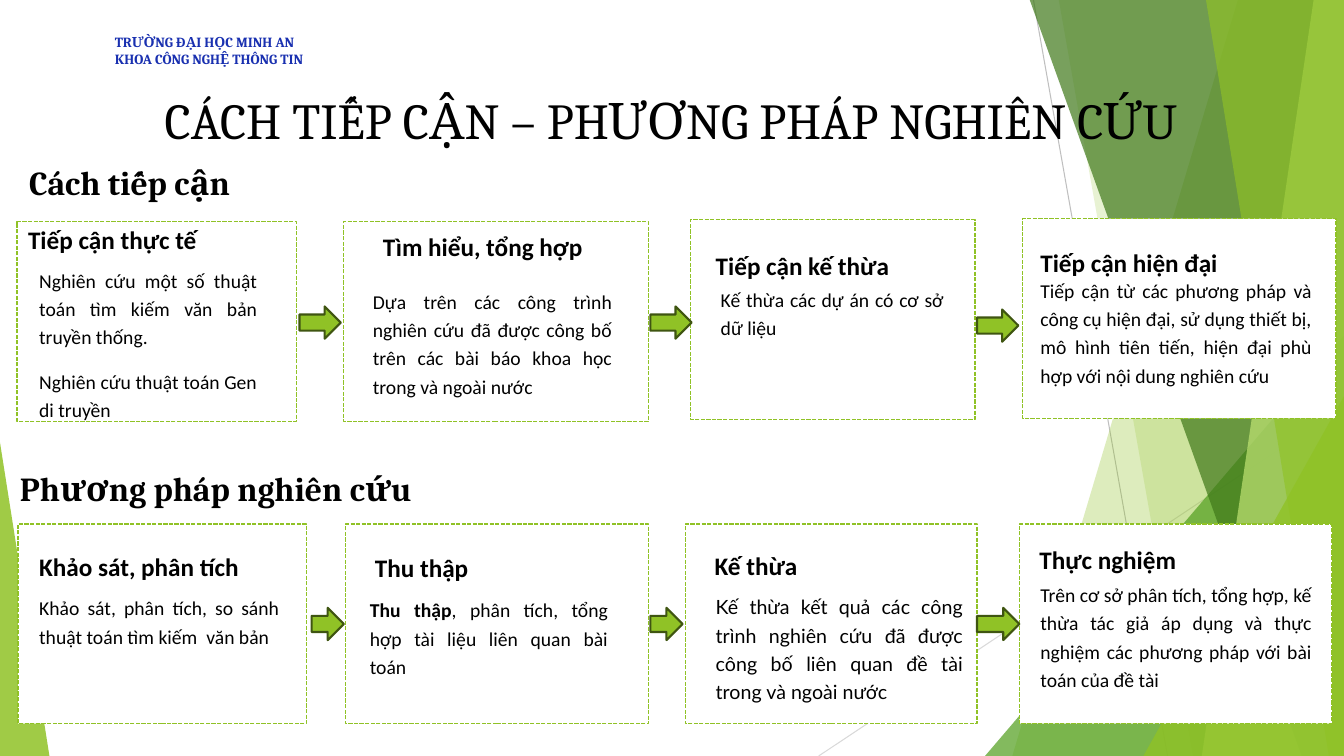
from dataclasses import dataclass

import pptx
import pptx.dml.color
import pptx.enum.dml
import pptx.enum.shapes
import pptx.enum.text
import pptx.oxml
import pptx.util
from pptx.util import Inches

GREEN = "90C226"
DARK_GREEN = "3F5511"
BLACK = "000000"
WHITE = "FFFFFF"
BLUE = "1930B0"
BOX_HEIGHT = 1.98
ARROW_HEIGHT = 0.32

Area = tuple[float, float, float, float]


@dataclass
class Style:
    size: float
    font: str = "Calibri"
    color: str = BLACK
    bold: bool = False
    align: str = "LEFT"
    line_spacing: float = 1.0
    gap: float = 0
    wrap: bool = True


@dataclass
class Step:
    box: tuple[float, float, float]
    heading: str
    heading_area: Area
    body: list[str]
    body_area: Area
    lead: str = ""
    font: str = "Calibri"
    gap: float = 0


@dataclass
class Facet:
    points: list[tuple[float, float]]
    color: str
    opacity: int


@dataclass
class Wedge:
    area: Area
    apex: float
    color: str
    opacity: int


@dataclass
class Ray:
    start: tuple[float, float]
    end: tuple[float, float]
    color: str


RAYS = [Ray((10.25, 0), (11.58, 7.5), "BFBFBF"), Ray((13.33, 4.03), (8.12, 7.5), "D9D9D9")]


def facet(top: float, bottom: float, color: str, opacity: int) -> Facet:
    return Facet([(top, -0.01), (13.33, -0.01), (13.33, 7.5), (bottom, 7.5)], color, opacity)


PANES = [
    facet(12.28, 10.04, GREEN, 30),
    facet(10.5, 11.83, GREEN, 20),
    Wedge((9.77, 3.33, 3.56, 4.17), 1, "54A021", 72),
    facet(10.21, 12.91, "3F7819", 70),
    facet(13.03, 11.92, "C0E474", 70),
    facet(11.96, 13.18, GREEN, 65),
    Wedge((11.34, 3.93, 1.99, 3.57), 1, GREEN, 80),
    Wedge((0, 4.39, 0.49, 3.11), 0, GREEN, 85),
]

STEPS = [
    Step((0.17, 2.2, 2.77), "Tiếp cận thực tế", (0.18, 2.18, 1.96, 0.4),
         ["Nghiên cứu một số thuật toán tìm kiếm văn bản truyền thống.",
          "Nghiên cứu thuật toán Gen di truyền"], (0.29, 2.57, 2.36, 1.66), gap=6),
    Step((3.41, 2.2, 3.02), "Tìm hiểu, tổng hợp", (3.7, 2.25, 2.31, 0.4),
         ["Dựa trên các công trình nghiên cứu đã được công bố trên các bài báo khoa học "
          "trong và ngoài nước"], (3.6, 2.78, 2.57, 1.21)),
    Step((6.85, 2.18, 2.82), "Tiếp cận kế thừa", (7, 2.43, 2.02, 0.4),
         ["Kế thừa các dự án có cơ sở dữ liệu"], (7.05, 2.76, 2.41, 0.64)),
    Step((10.14, 2.17, 3.11), "Tiếp cận hiện đại", (10.22, 2.4, 2.08, 0.4),
         ["Tiếp cận từ các phương pháp và công cụ hiện đại, sử dụng thiết bị, mô hình "
          "tiên tiến, hiện đại phù hợp với nội dung nghiên cứu"], (10.22, 2.67, 2.89, 1.51)),
    Step((0.18, 5.2, 2.86), "Khảo sát, phân tích", (0.29, 5.42, 2.33, 0.4),
         ["Khảo sát, phân tích, so sánh thuật toán tìm kiếm  văn bản"], (0.29, 5.82, 2.58, 0.92)),
    Step((3.43, 5.2, 3), "Thu thập", (3.62, 5.43, 1.21, 0.4),
         [", phân tích, tổng hợp tài liệu liên quan bài toán"], (3.57, 5.84, 2.56, 0.64),
         lead="Thu thập"),
    Step((6.8, 5.2, 2.89), "Kế thừa", (6.99, 5.41, 1.06, 0.4),
         ["Kế thừa kết quả các công trình nghiên cứu đã được công bố liên quan đề tài "
          "trong và ngoài nước"], (7, 5.81, 2.65, 1.23), font="Lato"),
    Step((10.11, 5.2, 3.1), "Thực nghiệm", (10.21, 5.35, 1.66, 0.4),
         ["Trên cơ sở phân tích, tổng hợp, kế thừa tác giả áp dụng và thực nghiệm các "
          "phương pháp với bài toán của đề tài"], (10.22, 5.69, 2.89, 1.23)),
]

ARROWS = [(2.97, 3.04, 0.41), (6.45, 3.04, 0.41), (9.69, 3.07, 0.41),
          (3.09, 6.03, 0.32), (6.45, 6.03, 0.32), (9.69, 6.03, 0.42)]


def rgb(color: str) -> pptx.dml.color.RGBColor:
    return pptx.dml.color.RGBColor.from_string(color)


def inches(area: Area) -> list[pptx.util.Length]:
    return [Inches(value) for value in area]


def add_effect_free_line(slide, ray: Ray) -> None:
    connector = slide.shapes.add_connector(
        pptx.enum.shapes.MSO_CONNECTOR.STRAIGHT, *inches(ray.start + ray.end))
    connector.line.color.rgb = rgb(ray.color)
    connector.line.width = pptx.util.Pt(0.75)
    properties = connector.element.spPr
    properties.append(pptx.oxml.parse_xml(
        '<a:effectLst xmlns:a="http://schemas.openxmlformats.org/drawingml/2006/main"/>'))


def add_preset(slide, kind: str, area: Area, fill: str, line: str = "", width: float = 1):
    shape = slide.shapes.add_shape(
        getattr(pptx.enum.shapes.MSO_SHAPE, kind), *inches(area))
    paint(shape, fill)
    if line:
        shape.line.color.rgb = rgb(line)
        shape.line.width = pptx.util.Pt(width)
    return shape


def paint(shape, fill: str) -> None:
    shape.shadow.inherit = False
    shape.fill.solid()
    shape.fill.fore_color.rgb = rgb(fill)
    shape.line.fill.background()


def add_pane(slide, pane: Facet | Wedge) -> None:
    if isinstance(pane, Wedge):
        shape = add_preset(slide, "ISOSCELES_TRIANGLE", pane.area, pane.color)
        shape.adjustments[0] = pane.apex
    else:
        points = [tuple(inches(point)) for point in pane.points]
        builder = slide.shapes.build_freeform(*points[0])
        builder.add_line_segments(points[1:], close=True)
        shape = builder.convert_to_shape()
        paint(shape, pane.color)
    color = shape.element.spPr.find(".//" + pptx.oxml.ns.qn("a:srgbClr"))
    alpha = color.makeelement(pptx.oxml.ns.qn("a:alpha"), {"val": str(pane.opacity * 1000)})
    color.append(alpha)


def format_paragraph(paragraph, style: Style) -> None:
    paragraph.alignment = getattr(pptx.enum.text.PP_ALIGN, style.align)
    paragraph.line_spacing = style.line_spacing
    paragraph.space_before = paragraph.space_after = pptx.util.Pt(style.gap)
    paragraph.font.size = pptx.util.Pt(style.size)
    paragraph.font.name = style.font
    paragraph.font.bold = style.bold
    paragraph.font.color.rgb = rgb(style.color)


def add_text(slide, area: Area, lines: list[str], style: Style, lead: str = "") -> None:
    frame = slide.shapes.add_textbox(*inches(area)).text_frame
    frame.word_wrap = style.wrap
    frame.auto_size = pptx.enum.text.MSO_AUTO_SIZE.SHAPE_TO_FIT_TEXT
    for index, line in enumerate(lines):
        paragraph = frame.add_paragraph() if index else frame.paragraphs[0]
        if lead:
            run = paragraph.add_run()
            run.text = lead
            run.font.bold = True
        paragraph.add_run().text = line
        format_paragraph(paragraph, style)


def add_step(slide, step: Step) -> None:
    box = add_preset(slide, "RECTANGLE", (*step.box, BOX_HEIGHT), WHITE, GREEN)
    box.line.dash_style = pptx.enum.dml.MSO_LINE.SQUARE_DOT
    body_style = Style(14, step.font, align="JUSTIFY", line_spacing=1.2, gap=step.gap)
    add_text(slide, step.body_area, step.body, body_style, step.lead)
    add_text(slide, step.heading_area, [step.heading], Style(18, bold=True, wrap=False))


def place_title(slide, text: str) -> None:
    title = slide.shapes.title
    title.left, title.top, title.width, title.height = inches((0.74, 0.8, 11.83, 0.76))
    title.text_frame.text = text
    title.text_frame.vertical_anchor = pptx.enum.text.MSO_ANCHOR.MIDDLE
    format_paragraph(title.text_frame.paragraphs[0], Style(36, "Cambria", align="CENTER"))
    title.element.getparent().append(title.element)


def main() -> None:
    presentation = pptx.Presentation()
    presentation.slide_width, presentation.slide_height = Inches(13.33), Inches(7.5)
    slide = presentation.slides.add_slide(presentation.slide_layouts[5])
    for ray in RAYS:
        add_effect_free_line(slide, ray)
    for pane in PANES:
        add_pane(slide, pane)
    place_title(slide, "CÁCH TIẾP CẬN – PHƯƠNG PHÁP NGHIÊN CỨU")
    add_text(slide, (1.04, 0.28, 2.55, 0.61),
             ["TRƯỜNG ĐẠI HỌC MINH AN", "KHOA CÔNG NGHỆ THÔNG TIN"],
             Style(10, "Cambria", BLUE, bold=True))
    section_style = Style(24, "Cambria", bold=True)
    add_text(slide, (0.19, 1.56, 7.97, 0.5), ["Cách tiếp cận"], section_style)
    add_text(slide, (0.1, 4.59, 7.97, 0.5), ["Phương pháp nghiên cứu"], section_style)
    for step in STEPS:
        add_step(slide, step)
    for arrow in ARROWS:
        add_preset(slide, "RIGHT_ARROW", (*arrow, ARROW_HEIGHT), GREEN, DARK_GREEN, 1.5)
    presentation.save("out.pptx")


if __name__ == "__main__":
    main()
